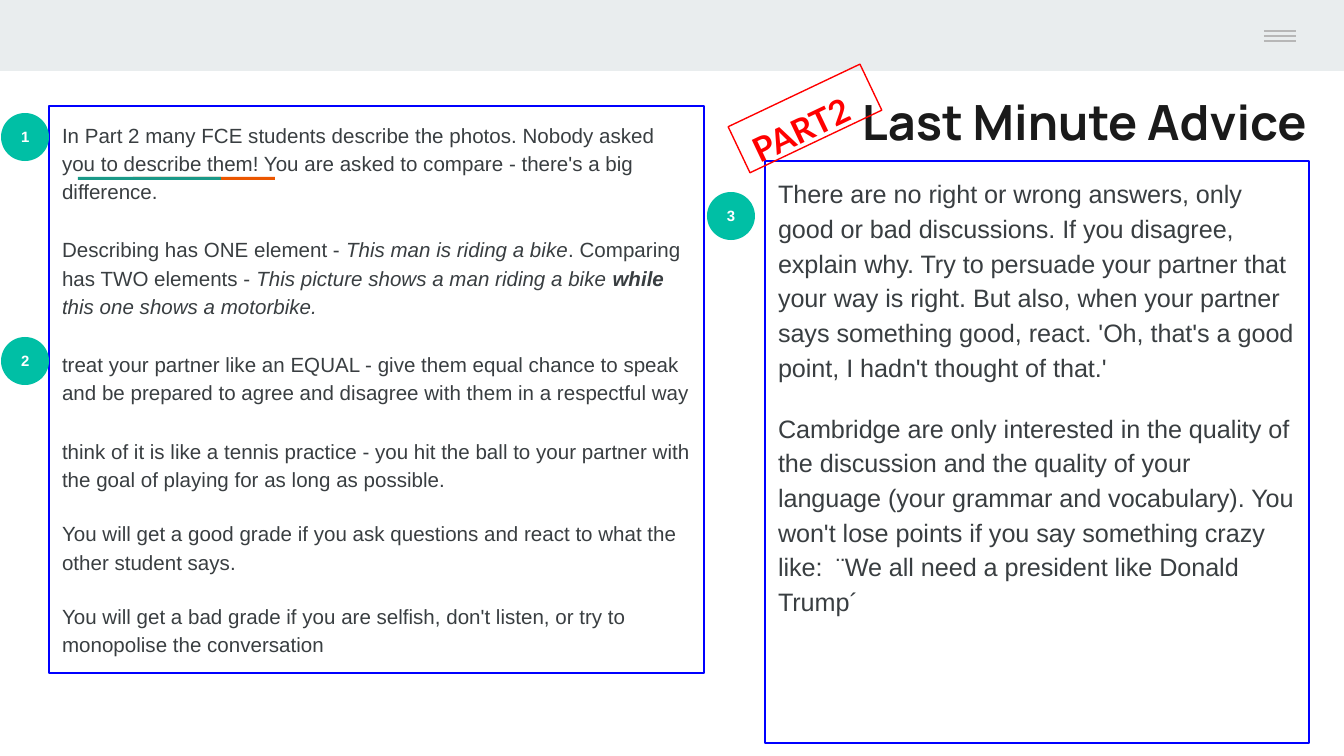
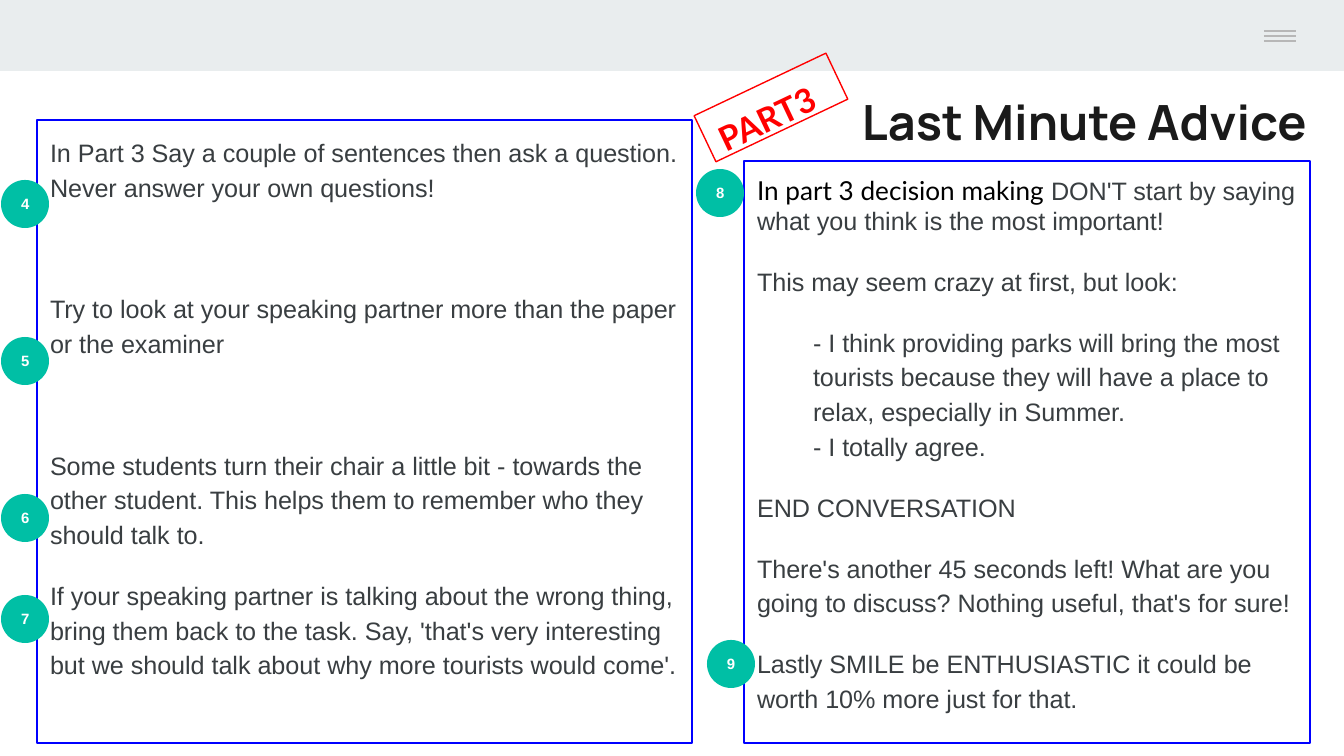
from dataclasses import dataclass

from lxml.etree import SubElement
from pptx import Presentation
from pptx.dml.color import RGBColor
from pptx.enum.shapes import MSO_CONNECTOR, MSO_SHAPE
from pptx.enum.text import MSO_ANCHOR, PP_ALIGN
from pptx.oxml.ns import qn
from pptx.util import Emu, Pt

COLOURS = {
    "band": "E9EDEE",
    "menu": "B7B7B7",
    "orange": "EB5600",
    "teal": "1A9988",
    "title": "1A1A1A",
    "body": "393E41",
    "border": "0000FF",
    "badge": "00BFA5",
    "stamp": "FF0000",
    "white": "FFFFFF",
    "black": "000000",
}
EMU_PER_INCH, PX_PER_INCH = 914400, 134.4
INSET = 13
BADGE_SIZE = 48
LEFT_BADGE_X = 1
BODY_SIZE = 13.5


@dataclass
class Style:
    size: float
    font: str = "Arial"
    colour: str = "body"
    bold: bool = False
    italic: bool = False
    highlight: str = ""


@dataclass
class Para:
    runs: list
    before: float = 14
    spacing: float = 1.15
    indent: int = 0


TITLE = Style(26, "Manrope", "title", bold=True)
BADGE = Style(8, colour="white", bold=True)
STAMP = Style(18, "Lato", "stamp", bold=True)
LEAD = Style(14, "Lato", "black")


def px(length):
    return Emu(round(length * EMU_PER_INCH / PX_PER_INCH))


def rgb(name):
    return RGBColor.from_string(COLOURS[name])


def body(size=BODY_SIZE, bold=False, italic=False):
    return Style(size, bold=bold, italic=italic, highlight="white")


def plain(text, size=BODY_SIZE, **layout):
    return Para([(text, body(size))], **layout)


# Text
def add_run(paragraph, text, style):
    run = paragraph.add_run()
    run.text = text
    font = run.font
    font.size, font.bold, font.italic = Pt(style.size), style.bold, style.italic
    font.color.rgb = rgb(style.colour)
    font.name = style.font
    if style.highlight:
        properties = run._r.get_or_add_rPr()
        highlight = SubElement(properties, qn("a:highlight"))
        SubElement(highlight, qn("a:srgbClr")).set("val", COLOURS[style.highlight])
        properties.find(qn("a:solidFill")).addnext(highlight)


def write(shape, paras, align=PP_ALIGN.LEFT, anchor=MSO_ANCHOR.TOP):
    frame = shape.text_frame
    frame.word_wrap = True
    frame.vertical_anchor = anchor
    frame.margin_left = frame.margin_right = px(INSET)
    frame.margin_top = frame.margin_bottom = px(INSET)
    for index, para in enumerate(paras):
        paragraph = frame.add_paragraph() if index else frame.paragraphs[0]
        paragraph.alignment = align
        paragraph.line_spacing = para.spacing
        if index:
            paragraph.space_before = Pt(para.before)
        if para.indent:
            paragraph._p.get_or_add_pPr().set("marL", str(px(para.indent)))
        for text, style in para.runs:
            add_run(paragraph, text, style)


# Elements
def add_block(slide, box, fill=None, line=None, kind=MSO_SHAPE.RECTANGLE):
    block = slide.shapes.add_shape(kind, *map(px, box))
    block.shadow.inherit = False
    if fill:
        block.fill.solid()
        block.fill.fore_color.rgb = rgb(fill)
    else:
        block.fill.background()
    if line:
        block.line.color.rgb = rgb(line)
        block.line.width = Pt(0.75)
    else:
        block.line.fill.background()
    return block


def add_menu_bar(slide, y):
    bar = slide.shapes.add_connector(
        MSO_CONNECTOR.STRAIGHT, px(1264), px(y), px(1296), px(y))
    bar.line.color.rgb = rgb("menu")
    bar.line.width = Pt(0.75)
    SubElement(bar._element.spPr, qn("a:effectLst"))


def add_panel(slide, box, paras):
    write(add_block(slide, box, line="border"), paras)


def add_badge(slide, number, x, y):
    badge = add_block(slide, (x, y, BADGE_SIZE, BADGE_SIZE), "badge",
                      kind=MSO_SHAPE.OVAL)
    write(badge, [Para([(str(number), BADGE)], spacing=1)],
          PP_ALIGN.CENTER, MSO_ANCHOR.MIDDLE)


def add_stamp(slide, text, x, y):
    stamp = add_block(slide, (x, y, 146, 51), line="stamp")
    stamp.rotation = 334.6
    write(stamp, [Para([(text, STAMP)], spacing=1)])


def add_advice_slide(prs, panels, badges, stamp):
    slide = prs.slides.add_slide(prs.slide_layouts[6])
    # Shared band, accent rule and menu mark
    add_block(slide, (0, 0, 1344, 71), "band")
    add_block(slide, (133, 177, 142, 3), "orange")
    add_block(slide, (78, 177, 143, 3), "teal")
    for y in range(31, 42, 5):
        add_menu_bar(slide, y)
    # Title
    title = slide.shapes.add_textbox(*map(px, (849, 79, 485, 89)))
    write(title, [Para([("Last Minute Advice", TITLE)], spacing=1)])
    # Advice
    for box, paras in panels:
        add_panel(slide, box, paras)
    for badge in badges:
        add_badge(slide, *badge)
    add_stamp(slide, *stamp)


# Content
PART2_COMPARING = [
    plain("In Part 2 many FCE students describe the photos. Nobody asked you to "
          "describe them! You are asked to compare - there's a big difference.", 11),
    Para([
        ("Describing has ONE element - ", body(11)),
        ("This man is riding a bike", body(11, italic=True)),
        (". Comparing has TWO elements - ", body(11)),
        ("This picture shows a man riding a bike ", body(11, italic=True)),
        ("while", body(11, bold=True, italic=True)),
        (" this one shows a motorbike.", body(11, italic=True)),
    ], before=16),
    plain("treat your partner like an EQUAL - give them equal chance to speak and be "
          "prepared to agree and disagree with them in a respectful way", 11, before=16),
    plain("think of it is like a tennis practice - you hit the ball to your partner "
          "with the goal of playing for as long as possible.", 11, before=16),
    plain("You will get a good grade if you ask questions and react to what the other "
          "student says.", 11),
    plain("You will get a bad grade if you are selfish, don't listen, or try to "
          "monopolise the conversation", 11),
]
PART2_DISCUSSING = [
    plain("There are no right or wrong answers, only good or bad discussions. If you "
          "disagree, explain why. Try to persuade your partner that your way is right. "
          "But also, when your partner says something good, react. 'Oh, that's a good "
          "point, I hadn't thought of that.'"),
    plain("Cambridge are only interested in the quality of the discussion and the "
          "quality of your language (your grammar and vocabulary). You won't lose "
          "points if you say something crazy like:  ¨We all need a president like "
          "Donald Trump´"),
]
PART3_PARTNER = [
    plain("In Part 3 Say a couple of sentences then ask a question. Never answer your "
          "own questions!"),
    plain("Try to look at your speaking partner more than the paper or the examiner",
          before=46.5),
    plain("Some students turn their chair a little bit - towards the other student. "
          "This helps them to remember who they should talk to.", before=46.5),
    plain("If your speaking partner is talking about the wrong thing, bring them back "
          "to the task. Say, 'that's very interesting but we should talk about why "
          "more tourists would come'."),
]
PART3_DECIDING = [
    Para([
        ("In part 3 decision making ", LEAD),
        ("DON'T start by saying what you think is the most important!", body()),
    ], spacing=1),
    plain("This may seem crazy at first, but look:"),
    plain("- I think providing parks will bring the most tourists because they will "
          "have a place to relax, especially in Summer.", indent=56),
    plain("- I totally agree.", before=0, indent=56),
    plain("END CONVERSATION"),
    plain("There's another 45 seconds left! What are you going to discuss? Nothing "
          "useful, that's for sure!"),
    plain("Lastly SMILE be ENTHUSIASTIC it could be worth 10% more just for that."),
]


def main():
    prs = Presentation()
    prs.slide_width, prs.slide_height = px(1344), px(756)

    # Part 2
    add_advice_slide(
        prs,
        panels=[((49, 106, 655, 567), PART2_COMPARING),
                ((765, 161, 544, 582), PART2_DISCUSSING)],
        badges=[(1, LEFT_BADGE_X, 113), (2, LEFT_BADGE_X, 337), (3, 707, 192)],
        stamp=("PART2", 732, 93))

    # Part 3
    add_advice_slide(
        prs,
        panels=[((37, 120, 655, 623), PART3_PARTNER),
                ((744, 161, 566, 582), PART3_DECIDING)],
        badges=[(4, LEFT_BADGE_X, 180), (5, LEFT_BADGE_X, 337),
                (6, LEFT_BADGE_X, 494), (7, LEFT_BADGE_X, 595),
                (8, 696, 169), (9, 707, 640)],
        stamp=("PART3", 698, 82))

    prs.save("out.pptx")


if __name__ == "__main__":
    main()
